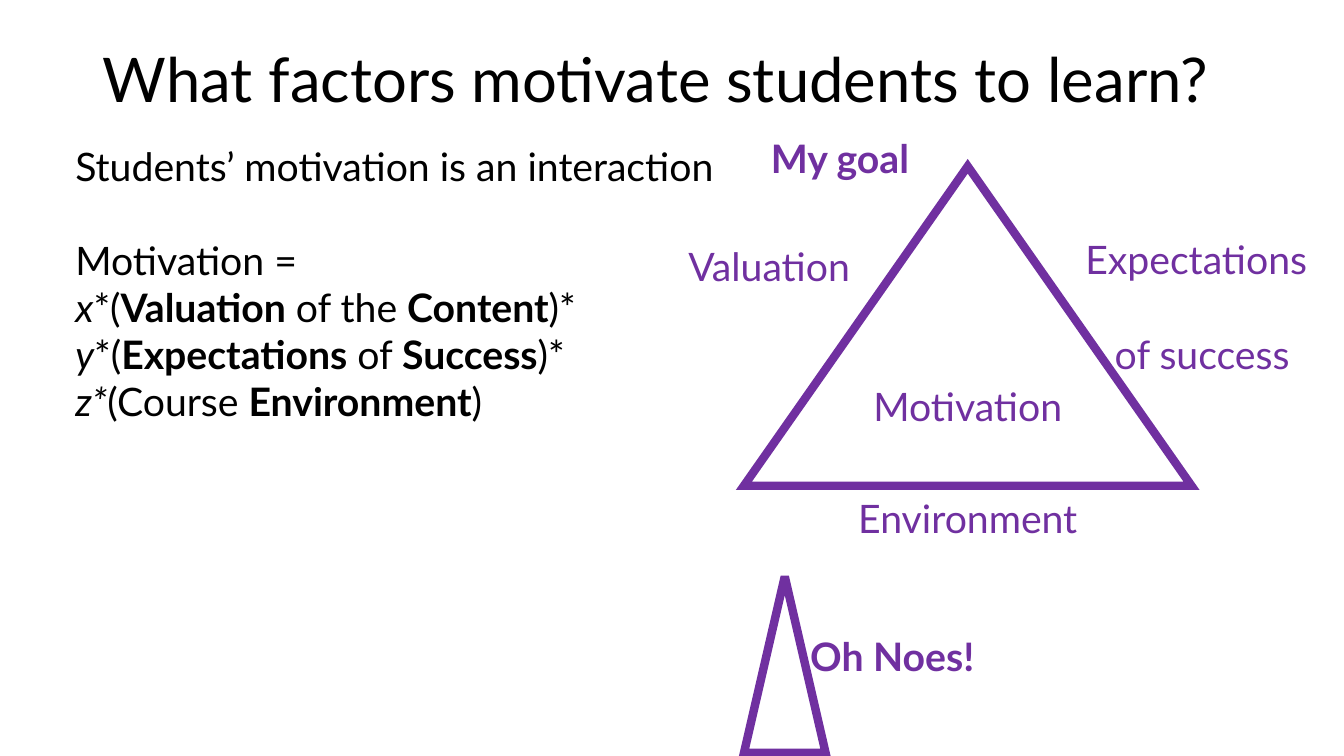
from lxml.etree import SubElement
from pptx import Presentation
from pptx.dml.color import RGBColor
from pptx.enum.shapes import MSO_SHAPE
from pptx.enum.text import MSO_ANCHOR, MSO_AUTO_SIZE, PP_ALIGN
from pptx.oxml.ns import qn
from pptx.util import Pt

PURPLE = "7030A0"
BLACK = "000000"
WHITE = "FFFFFF"
LINE_HEIGHT = 33.6


def color(hex_code):
    return RGBColor.from_string(hex_code)


def write(frame, lines, size=28, hex_code=PURPLE, bold=False, align=PP_ALIGN.LEFT,
          anchor=MSO_ANCHOR.TOP, spacing=None, gaps=None, indents=None):
    frame.word_wrap = True
    frame.auto_size = MSO_AUTO_SIZE.NONE
    frame.vertical_anchor = anchor
    for index, line in enumerate(lines):
        paragraph = frame.paragraphs[0] if index == 0 else frame.add_paragraph()
        paragraph.alignment = align
        if spacing:
            paragraph.line_spacing = spacing
        if gaps and index in gaps:
            paragraph.space_before = Pt(gaps[index])
        if indents and index in indents:
            paragraph._p.get_or_add_pPr().set("marL", str(Pt(indents[index])))
        pieces = [(line, "")] if isinstance(line, str) else line
        for words, style in pieces:
            run = paragraph.add_run()
            run.text = words
            run.font.name = "Lato"
            run.font.size = Pt(size)
            run.font.color.rgb = color(hex_code)
            run.font.bold = bold or style == "bold"
            run.font.italic = style == "italic"


def add_text(slide, left, top, width, height, lines, **style):
    box = slide.shapes.add_textbox(Pt(left), Pt(top), Pt(width), Pt(height))
    write(box.text_frame, lines, **style)


def add_triangle(slide, left, top, width, height):
    triangle = slide.shapes.add_shape(
        MSO_SHAPE.ISOSCELES_TRIANGLE, Pt(left), Pt(top), Pt(width), Pt(height))
    triangle.shadow.inherit = False
    triangle.fill.solid()
    triangle.fill.fore_color.rgb = color(WHITE)
    triangle.line.color.rgb = color(PURPLE)
    triangle.line.width = Pt(6)
    SubElement(triangle.line._get_or_add_ln(), qn("a:miter"), lim="800000")
    return triangle


def add_title(slide, left, top, width, height):
    title = slide.shapes.title
    title.left, title.top = Pt(left), Pt(top)
    title.width, title.height = Pt(width), Pt(height)
    write(title.text_frame, ["What factors motivate students to learn?"], size=44,
          hex_code=BLACK, anchor=MSO_ANCHOR.MIDDLE, spacing=0.9)


def add_formula(slide, left, top, width, height):
    lines = [
        "Students’ motivation is an interaction",
        "Motivation =",
        [("x", "italic"), ("*(", ""), ("Valuation", "bold"), (" of the ", ""),
         ("Content", "bold"), (")*", "")],
        [("y", "italic"), ("*(", ""), ("Expectations", "bold"), (" of ", ""),
         ("Success", "bold"), (")*", "")],
        [("z*", "italic"), ("(Course ", ""), ("Environment", "bold"), (")", "")],
    ]
    add_text(slide, left, top, width, height, lines, hex_code=BLACK,
             gaps={1: LINE_HEIGHT})


def add_goal(slide, left, top, width, height):
    goal = add_triangle(slide, left, top, width, height)
    write(goal.text_frame, ["Motivation"], align=PP_ALIGN.CENTER,
          anchor=MSO_ANCHOR.MIDDLE)
    add_text(slide, left + 12.2, top - 26.6, 196.6, 41, ["My goal"], bold=True)
    add_text(slide, left - 46.8, top + 50.4, 243.4, 41, ["Valuation"])
    add_text(slide, left + 236.8, top + 46.1, 196.6, 108.5,
             ["Expectations", "of success"], gaps={1: LINE_HEIGHT}, indents={1: 21})
    add_text(slide, left + (width - 243.4) / 2, top + height + 2.2, 243.4, 41,
             ["Environment"], align=PP_ALIGN.CENTER)


def add_failure(slide, left, top, width, height):
    add_triangle(slide, left, top, width, height)
    add_text(slide, left + 40.3, top + 36, 196.6, 41, ["Oh Noes!"], bold=True)


def main():
    deck = Presentation()
    deck.slide_width, deck.slide_height = Pt(960), Pt(540)
    slide = deck.slides.add_slide(deck.slide_layouts[5])
    add_title(slide, 66.2, 28.8, 828, 60.5)
    add_formula(slide, 46.8, 97.9, 665.3, 211)
    add_goal(slide, 531.4, 118.8, 319.7, 228.2)
    add_failure(slide, 531.4, 411.8, 58.3, 126)
    deck.save("out.pptx")


if __name__ == "__main__":
    main()
